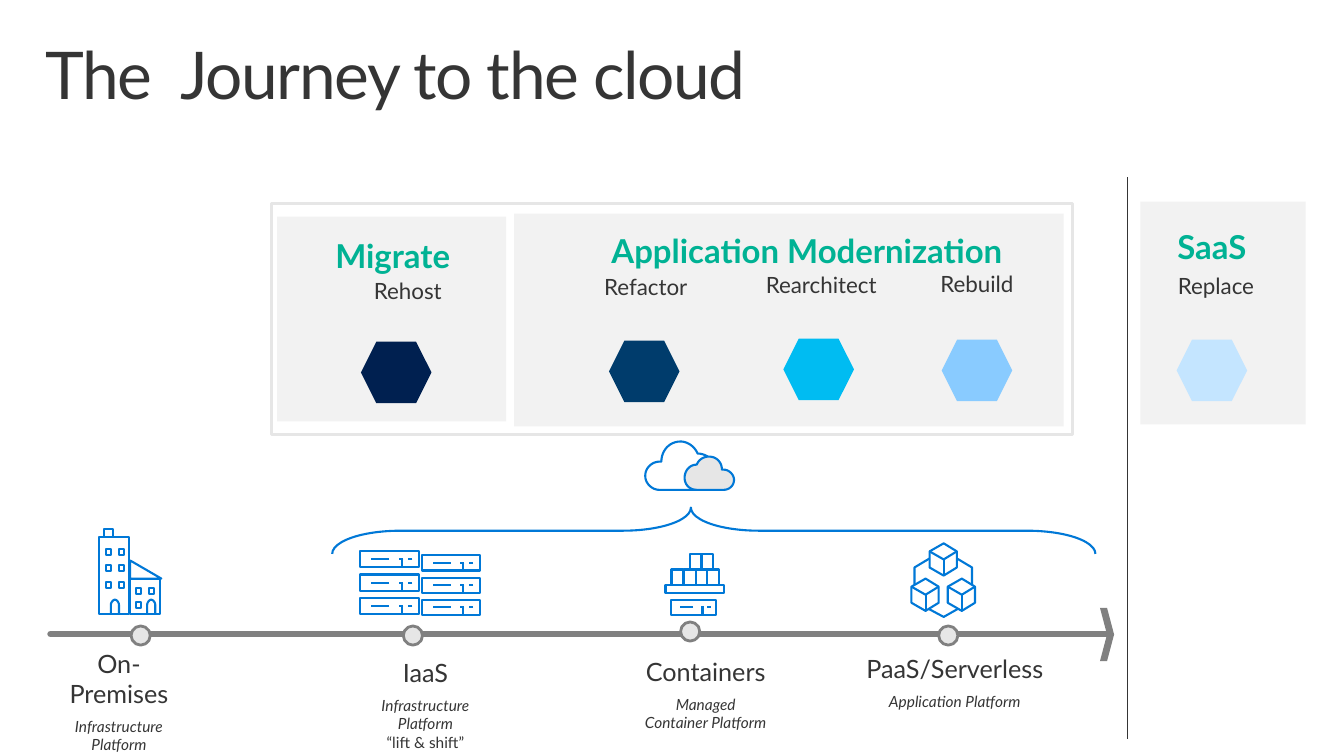
"""Build the cloud journey slide: strategies above a hosting timeline."""
from dataclasses import dataclass
from typing import Any, Optional

from lxml.etree import SubElement
from pptx import Presentation
from pptx.dml.color import RGBColor
from pptx.enum.shapes import MSO_CONNECTOR, MSO_SHAPE as Kind
from pptx.enum.text import MSO_AUTO_SIZE as Fit, PP_ALIGN as Align
from pptx.oxml.ns import qn
from pptx.shapes.connector import Connector
from pptx.shapes.shapetree import GroupShapes
from pptx.util import Inches, Pt

INK = RGBColor(0x35, 0x35, 0x35)
TEAL = RGBColor(0x00, 0xB2, 0x94)
BLUE = RGBColor(0x00, 0x78, 0xD7)
GREY = RGBColor(0x80, 0x80, 0x80)
SILVER = RGBColor(0xE6, 0xE6, 0xE6)
PANEL = RGBColor(0xF2, 0xF2, 0xF2)
NAVY = RGBColor(0x00, 0x20, 0x50)
DEEP = RGBColor(0x00, 0x3C, 0x6C)
CYAN = RGBColor(0x00, 0xBC, 0xF2)
SKY = RGBColor(0x89, 0xCB, 0xFF)
PALE = RGBColor(0xC4, 0xE5, 0xFF)

Point = tuple[float, float]
Box = tuple[float, float, float, float]


@dataclass(frozen=True)
class Stroke:
    color: RGBColor
    width: float


@dataclass(frozen=True)
class Para:
    text: str
    size: float
    after: float = 0
    color: RGBColor = INK
    bold: bool = False
    italic: bool = False
    leading: float = 1.0
    align: Align = Align.CENTER


@dataclass(frozen=True)
class Strategy:
    name: str
    label_box: Box
    hexagon_at: Point
    color: RGBColor


@dataclass(frozen=True)
class Heading:
    name: str
    text_box: Box
    panel_box: Box
    wraps: bool = True


@dataclass(frozen=True)
class Stage:
    box: Box
    marker_at: Point
    paras: tuple[Para, ...]


ICON = Stroke(BLUE, 1.5)


def set_all(target: Any, values: dict[str, Any]) -> None:
    for key, value in values.items():
        setattr(target, key, value)


def paint(shape: Any, fill: Optional[RGBColor], stroke: Optional[Stroke]) -> None:
    shape.shadow.inherit = False
    if fill is None:
        shape.fill.background()
    else:
        shape.fill.solid()
        shape.fill.fore_color.rgb = fill
    if stroke is None:
        shape.line.fill.background()
    else:
        shape.line.color.rgb, shape.line.width = stroke.color, Pt(stroke.width)


def add_preset(shapes: Any, kind: Kind, box: Box, fill: Optional[RGBColor] = None,
               stroke: Optional[Stroke] = None) -> Any:
    shape = shapes.add_shape(kind, *map(Inches, box))
    paint(shape, fill, stroke)
    return shape


def add_rule(shapes: Any, start: Point, end: Point, stroke: Stroke = ICON) -> Connector:
    rule = shapes.add_connector(MSO_CONNECTOR.STRAIGHT, *map(Inches, start + end))
    rule.line.color.rgb, rule.line.width = stroke.color, Pt(stroke.width)
    SubElement(rule._element.spPr, qn("a:effectLst"))
    return rule


def bezier(knots: list[Point], t: float) -> Point:
    weights = ((1 - t) ** 3, 3 * t * (1 - t) ** 2, 3 * t ** 2 * (1 - t), t ** 3)
    x, y = (sum(w * k[axis] for w, k in zip(weights, knots)) for axis in (0, 1))
    return x, y


def add_outline(shapes: Any, start: Point, steps: list[tuple[Point, ...]],
                close: bool = False, fill: Optional[RGBColor] = None) -> None:
    """Trace steps of one point (a line) or three points (a cubic curve)."""
    points = [start]
    for step in steps:
        if len(step) == 1:
            points.append(step[0])
        else:
            knots = [points[-1], *step]
            points += [bezier(knots, i / 12) for i in range(1, 13)]
    first, *rest = [(Inches(x), Inches(y)) for x, y in points]
    builder = shapes.build_freeform(*first, scale=1.0)
    builder.add_line_segments(rest, close=close)
    paint(builder.convert_to_shape(), fill, ICON)


def add_path(shapes: Any, *points: Point, close: bool = False) -> None:
    add_outline(shapes, points[0], [(point,) for point in points[1:]], close)


def add_text(shapes: Any, box: Box, paras: tuple[Para, ...], wraps: bool = True,
             inset: Point = (0.2, 0.16), fit: Fit = Fit.SHAPE_TO_FIT_TEXT) -> Any:
    frame = shapes.add_textbox(*map(Inches, box)).text_frame
    side, edge = map(Inches, inset)
    set_all(frame, dict(word_wrap=wraps, auto_size=fit, margin_left=side,
                        margin_right=side, margin_top=edge, margin_bottom=edge))
    for index, para in enumerate(paras):
        line = frame.add_paragraph() if index else frame.paragraphs[0]
        set_all(line, dict(alignment=para.align, line_spacing=para.leading,
                           space_after=Pt(para.after)))
        run = line.add_run()
        run.text = para.text
        set_all(run.font, dict(name="Lato", size=Pt(para.size), bold=para.bold, italic=para.italic))
        run.font.color.rgb = para.color
    return frame


def draw_server(icon: GroupShapes, left: float, top: float, width: float, height: float) -> None:
    middle, stem = top + height / 2, left + 0.7 * width
    add_preset(icon, Kind.RECTANGLE, (left, top, width, height), stroke=ICON)
    for start, end in ((0.88, 0.81), (0.73, 0.66), (0.49, 0.19)):
        add_rule(icon, (left + start * width, middle), (left + end * width, middle))
    add_rule(icon, (stem, top + height), (stem, middle + 0.01))


def draw_racks(icon: GroupShapes) -> None:
    for left, top, width, height, pitch in ((3.57, 5.47, 0.59, 0.16, 0.23),
                                            (4.19, 5.51, 0.57, 0.15, 0.22)):
        for row in range(3):
            draw_server(icon, left, top + row * pitch, width, height)


def draw_offices(icon: GroupShapes) -> None:
    tower_windows = [(x, y) for y in (5.77, 5.61, 5.45) for x in (1.05, 1.18)]
    annex_windows = [(1.35, 5.83), (1.48, 5.83), (1.35, 5.97)]
    walls = [(0.98, 5.33, 0.3, 0.76), (1.03, 5.25, 0.09, 0.08), (1.29, 5.74, 0.3, 0.35)]
    for box in walls + [(x, y, 0.05, 0.06) for x, y in tower_windows + annex_windows]:
        add_preset(icon, Kind.RECTANGLE, box, stroke=ICON)
    for x in (1.1, 1.46):
        add_outline(icon, (x + 0.08, 6.09), [
            ((x + 0.08, 6),), ((x + 0.08, 5.98), (x + 0.06, 5.95), (x + 0.04, 5.95)),
            ((x + 0.02, 5.95), (x, 5.98), (x, 6)), ((x, 6.09),)])
    roof = add_preset(icon, Kind.ISOSCELES_TRIANGLE, (1.29, 5.56, 0.31, 0.18), stroke=ICON)
    roof.adjustments[0] = 0


def draw_containers(icon: GroupShapes) -> None:
    add_preset(icon, Kind.RECTANGLE, (6.6, 5.8, 0.58, 0.08), stroke=ICON)
    for x, y in ((6.66, 5.65), (6.78, 5.65), (7.01, 5.65), (6.84, 5.5), (6.95, 5.5)):
        add_preset(icon, Kind.RECTANGLE, (x, y, 0.12, 0.15), stroke=ICON)
    draw_server(icon, 6.66, 5.95, 0.44, 0.15)


def draw_cubes(icon: GroupShapes) -> None:
    for x, top in ((9.54, 5.74), (9.18, 5.74), (9.36, 5.39)):
        left, right, shoulder, foot = x - 0.14, x + 0.13, top + 0.08, top + 0.24
        add_path(icon, (left, shoulder), (x, top), (right, shoulder), (right, foot),
                 (x, top + 0.32), (left, foot), close=True)
        add_path(icon, (right, shoulder), (x, top + 0.16), (left, shoulder))
        add_rule(icon, (x, top + 0.16), (x, top + 0.32))
    add_path(icon, (9.5, 6.04), (9.36, 6.12), (9.21, 6.04))
    add_path(icon, (9.49, 5.54), (9.64, 5.63), (9.64, 5.8))
    add_path(icon, (9.07, 5.8), (9.07, 5.63), (9.22, 5.54))


def draw_clouds(icon: GroupShapes) -> None:
    add_outline(icon, (6.56, 4.58), [
        ((6.56, 4.47), (6.64, 4.38), (6.75, 4.38)), ((6.82, 4.38), (6.89, 4.43), (6.92, 4.5)),
        ((7.02, 4.5), (7.1, 4.58), (7.1, 4.68)), ((7.1, 4.79), (7.02, 4.86), (6.92, 4.86)),
        ((6.54, 4.86),), ((6.47, 4.86), (6.4, 4.8), (6.4, 4.72)),
        ((6.4, 4.64), (6.47, 4.58), (6.54, 4.58))], close=True)
    add_outline(icon, (7.16, 4.66), [
        ((7.16, 4.59), (7.11, 4.53), (7.03, 4.53)), ((6.98, 4.53), (6.93, 4.56), (6.91, 4.61)),
        ((6.84, 4.61), (6.79, 4.67), (6.79, 4.74)), ((6.79, 4.81), (6.84, 4.86), (6.91, 4.86)),
        ((7.18, 4.86),), ((7.23, 4.86), (7.28, 4.82), (7.28, 4.76)),
        ((7.28, 4.71), (7.23, 4.66), (7.18, 4.66))], close=True, fill=SILVER)


def stage_paras(name: str, note: str, *extra: Para) -> tuple[Para, ...]:
    return Para(name, 18, 5.9), Para(note, 11, 0 if extra else 5.9, italic=True), *extra


HEADINGS = (
    Heading("Migrate", (2.64, 2.22, 2.51, 0.67), (2.75, 2.15, 2.27, 2.03)),
    Heading("SaaS", (11.46, 2.13, 1.12, 0.67), (11.31, 2, 1.64, 2.21), wraps=False),
    Heading("Application Modernization", (5.17, 2.17, 5.67, 0.67), (5.1, 2.12, 5.45, 2.11)),
)
STRATEGIES = (
    Strategy("Rehost", (3.46, 2.66, 1.17, 0.56), (3.58, 3.39), NAVY),
    Strategy("Refactor", (5.73, 2.62, 1.35, 0.56), (6.04, 3.38), DEEP),
    Strategy("Rearchitect", (7.39, 2.6, 1.51, 0.56), (7.77, 3.36), CYAN),
    Strategy("Rebuild", (9.06, 2.59, 1.26, 0.56), (9.34, 3.37), SKY),
    Strategy("Replace", (11.22, 2.61, 1.68, 0.56), (11.67, 3.37), PALE),
)
STAGES = (
    Stage((0.49, 6.27, 1.38, 1.38), (1.3, 6.21),
          stage_paras("On-Premises", "Infrastructure Platform")),
    Stage((3.53, 6.36, 1.38, 1.26), (4, 6.21),
          stage_paras("IaaS", "Infrastructure Platform", Para("“lift & shift”", 11, 6))),
    Stage((6.18, 6.35, 1.64, 1.07), (6.75, 6.17),
          stage_paras("Containers", "Managed Container Platform")),
    Stage((8.36, 6.32, 2.22, 0.89), (9.31, 6.21),
          stage_paras("PaaS/Serverless", "Application Platform")),
)


def main() -> None:
    deck = Presentation()
    deck.slide_width, deck.slide_height = Inches(13.33), Inches(7.5)
    shapes = deck.slides.add_slide(deck.slide_layouts[6]).shapes

    timeline = shapes.add_group_shape().shapes
    axis = add_rule(timeline, (10.98, 6.29), (0.5, 6.29), Stroke(GREY, 4.5))
    axis.line._get_or_add_ln().set("cap", "rnd")
    add_preset(timeline, Kind.CHEVRON, (10.91, 6.03, 0.14, 0.53), GREY)

    title = add_text(shapes, (0.29, 0.32, 12.75, 0.98),
                     (Para("The  Journey to the cloud", 47, leading=0.9, align=Align.LEFT),),
                     inset=(0.16, 0.1), fit=Fit.NONE)
    title.paragraphs[0].runs[0].font._element.set("spc", "-100")

    for draw in (draw_offices, draw_cubes, draw_racks, draw_clouds, draw_containers):
        draw(shapes.add_group_shape().shapes)
    for stage in STAGES:
        add_text(shapes, stage.box, stage.paras)
        add_preset(shapes, Kind.OVAL, (*stage.marker_at, 0.19, 0.19), SILVER, Stroke(GREY, 2))

    brace = add_preset(shapes, Kind.RIGHT_BRACE, (6.85, 1.48, 0.46, 7.57), stroke=ICON)
    brace.rotation = 270
    brace.adjustments[0], brace.adjustments[1] = 1.47, 0.47

    for heading in HEADINGS:
        add_preset(shapes, Kind.RECTANGLE, heading.panel_box, PANEL)
    for strategy in STRATEGIES:
        add_text(shapes, strategy.label_box, (Para(strategy.name, 16, 5.9, leading=0.9),))
        add_preset(shapes, Kind.HEXAGON, (*strategy.hexagon_at, 0.7, 0.61), strategy.color)
    for heading in HEADINGS:
        add_text(shapes, heading.text_box,
                 (Para(heading.name, 23.5, color=TEAL, bold=True, leading=0.9),), heading.wraps)

    add_preset(shapes, Kind.RECTANGLE, (2.69, 2.02, 7.95, 2.29), stroke=Stroke(SILVER, 2.25))
    add_rule(shapes, (11.18, 1.76), (11.18, 7.33), Stroke(INK, 0.75))
    deck.save("out.pptx")


if __name__ == "__main__":
    main()
